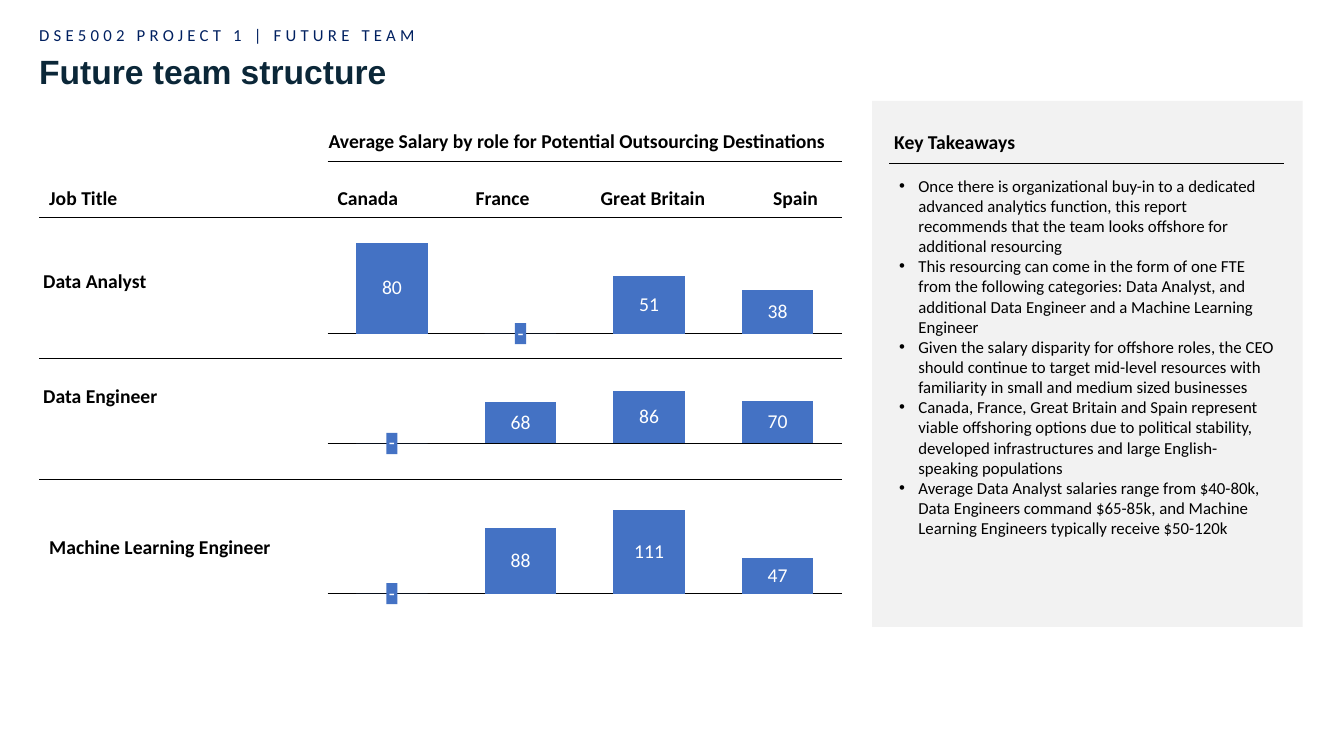
from lxml import etree
from pptx import Presentation
from pptx.chart.data import CategoryChartData
from pptx.dml.color import RGBColor
from pptx.enum.chart import XL_CHART_TYPE, XL_TICK_LABEL_POSITION, XL_TICK_MARK
from pptx.enum.shapes import MSO_CONNECTOR, MSO_SHAPE
from pptx.enum.text import MSO_ANCHOR, PP_ALIGN
from pptx.oxml import parse_xml
from pptx.oxml.ns import nsdecls, qn
from pptx.util import Inches, Pt

BLACK = RGBColor(0x00, 0x00, 0x00)
WHITE = RGBColor(0xFF, 0xFF, 0xFF)
NAVY = RGBColor(0x00, 0x20, 0x60)
INK = RGBColor(0x0B, 0x27, 0x38)
PANEL = RGBColor(0xF2, 0xF2, 0xF2)
BLUE = RGBColor(0x44, 0x72, 0xC4)

PAD = 0.09  # margin between a chart frame and its plot area
LABEL_H = 0.21

# Country, left and width of its heading relative to the table
COUNTRIES = [("Canada", 2.86, 0.93), ("France", 4.23, 0.8),
             ("Great Britain", 5.47, 1.28), ("Spain", 7.18, 0.7)]

# Role, left and top of its name, top and height of its chart, bar sizes, labels
ROLES = [
    ("Data Analyst", -0.06, 1.39, 1.09, 1.08, (100, 0, 63, 48), ("80", "-", "51", "38")),
    ("Data Engineer", -0.06, 2.53, 2.56, 0.7, (0, 79, 100, 82), ("-", "68", "86", "70")),
    ("Machine Learning Engineer", 0, 4.03, 3.74, 1.01, (0, 79, 100, 43), ("-", "88", "111", "47")),
]

TAKEAWAYS = [
    "Once there is organizational buy-in to a dedicated advanced analytics function, "
    "this report recommends that the team looks offshore for additional resourcing",
    "This resourcing can come in the form of one FTE from the following categories: "
    "Data Analyst, and additional Data Engineer and a Machine Learning Engineer",
    "Given the salary disparity for offshore roles, the CEO should continue to target "
    "mid-level resources with familiarity in small and medium sized businesses",
    "Canada, France, Great Britain and Spain represent viable offshoring options due to "
    "political stability, developed infrastructures and large English-speaking populations",
    "Average Data Analyst salaries range from $40-80k, Data Engineers command $65-85k, "
    "and Machine Learning Engineers typically receive $50-120k",
]


def add_run(p, text, size, color=BLACK, bold=False, font="Calibri"):
    r = p.add_run()
    r.text = text
    r.font.size, r.font.name = Pt(size), font
    r.font.bold, r.font.color.rgb = bold, color
    return r


def add_text(s, x, y, w, h):
    tf = s.shapes.add_textbox(Inches(x), Inches(y), Inches(w), Inches(h)).text_frame
    tf.word_wrap = True
    return tf


def add_heading(s, text, x, y, w):
    add_run(add_text(s, x, y, w, 0.34).paragraphs[0], text, 14, bold=True)


def add_rect(s, x, y, w, h, color):
    sp = s.shapes.add_shape(MSO_SHAPE.RECTANGLE, Inches(x), Inches(y), Inches(w), Inches(h))
    sp.shadow.inherit = False
    sp.fill.solid()
    sp.fill.fore_color.rgb = color
    sp.line.fill.background()
    return sp


def add_rule(s, x, y, w):
    line = s.shapes.add_connector(MSO_CONNECTOR.STRAIGHT, Inches(x), Inches(y),
                                  Inches(x + w), Inches(y))
    line.line.color.rgb = BLACK
    line.line.width = Pt(0.5)
    etree.SubElement(line._element.spPr, qn("a:effectLst"))


def add_header(s, x, y, w):
    tf = add_text(s, x, y, 7.02, 0.35)
    tf.vertical_anchor = MSO_ANCHOR.BOTTOM
    p = tf.paragraphs[0]
    p.line_spacing, p.space_before = 0.9, Pt(10)
    r = add_run(p, "DSE5002 PROJECT 1 | FUTURE TEAM", 12, NAVY)
    r.font._element.set("spc", "300")
    p = add_text(s, x, y + 0.35, w, 0.5).paragraphs[0]
    p.line_spacing = 0.9
    add_run(p, "Future team structure", 24, INK, True, "Arial")


def add_bar_label(s, text, cx, cy):
    # A missing salary is a dash on a blue tag
    w = 0.11 if text == "-" else 0.05 + 0.1 * len(text)
    x, y = cx - w / 2, cy - LABEL_H / 2
    if text == "-":
        tf = add_rect(s, x, y, w, LABEL_H, BLUE).text_frame
    else:
        tf = add_text(s, x, y, w, LABEL_H)
    tf.word_wrap = False
    tf.vertical_anchor = MSO_ANCHOR.MIDDLE
    # No side margins, so that the digits fit on one line
    tf.margin_left = tf.margin_right = tf.margin_top = tf.margin_bottom = 0
    p = tf.paragraphs[0]
    p.alignment, p.line_spacing = PP_ALIGN.CENTER, 0.9
    add_run(p, text, 14, WHITE)


def add_salary_chart(s, x, y, w, h, values, labels):
    data = CategoryChartData()
    data.categories = ["1", "2", "3", "4"]
    data.add_series("Series 1", values)
    chart = s.shapes.add_chart(XL_CHART_TYPE.COLUMN_STACKED, Inches(x), Inches(y),
                               Inches(w), Inches(h), data).chart
    chart.has_legend = chart.has_title = False
    chart.font.size, chart.font.name = Pt(10), "Calibri"
    chart.font.color.rgb = BLACK

    plot = chart.plots[0]
    plot.gap_width, plot.overlap, plot.vary_by_categories = 80, 100, False
    fill = plot.series[0].format.fill
    fill.solid()
    fill.fore_color.rgb = BLUE

    cat, val = chart.category_axis, chart.value_axis
    cat.tick_label_position = XL_TICK_LABEL_POSITION.NONE
    cat.major_tick_mark = cat.minor_tick_mark = XL_TICK_MARK.NONE
    cat.format.line.color.rgb = BLACK
    cat.format.line.width = Pt(0.75)
    val.minimum_scale, val.maximum_scale = 0, 100
    val.has_major_gridlines = val.visible = False

    # Fixed inner plot area
    plot_w, plot_h = w - 2 * PAD, h - 2 * PAD
    sizes = {"x": PAD / w, "y": PAD / h, "w": plot_w / w, "h": plot_h / h}
    parts = "".join(f'<c:{k} val="{v:.4f}"/>' for k, v in sizes.items())
    area = plot._element.getparent()
    for old in area.findall(qn("c:layout")):
        area.remove(old)
    area.insert(0, parse_xml(
        f'<c:layout {nsdecls("c")}><c:manualLayout><c:layoutTarget val="inner"/>'
        f'<c:xMode val="edge"/><c:yMode val="edge"/>{parts}</c:manualLayout></c:layout>'))

    # Labels at the middle of each bar
    step = plot_w / len(values)
    for i, (value, label) in enumerate(zip(values, labels)):
        add_bar_label(s, label, x + PAD + (i + 0.5) * step,
                      y + h - PAD - plot_h * value / 200)


def add_salary_table(s, x, y, w):
    # Headings
    add_heading(s, "Average Salary by role for Potential Outsourcing Destinations", x + 2.77, y, 5.22)
    add_rule(s, x + 2.86, y + 0.37, w - 2.86)
    add_heading(s, "Job Title", x, y + 0.57, 0.93)
    for country, dx, width in COUNTRIES:
        add_heading(s, country, x + dx, y + 0.57, width)
    # Row dividers
    for dy in (0.93, 2.33, 3.53):
        add_rule(s, x, y + dy, w)
    # One chart per role
    for role, dx, dy, chart_dy, chart_h, values, labels in ROLES:
        add_heading(s, role, x + dx, y + dy, 2.53)
        add_salary_chart(s, x + 2.77, y + chart_dy, 5.28, chart_h, values, labels)


def add_takeaways(s, x, y, w, h):
    add_rect(s, x, y, w, h, PANEL)
    add_heading(s, "Key Takeaways", x + 0.12, y + 0.24, 1.42)
    add_rule(s, x + 0.17, y + 0.62, w - 0.35)
    tf = add_text(s, x + 0.17, y + 0.69, w - 0.35, 4.14)
    for i, text in enumerate(TAKEAWAYS):
        p = tf.add_paragraph() if i else tf.paragraphs[0]
        pPr = p._p.get_or_add_pPr()
        pPr.set("marL", str(Inches(0.19)))
        pPr.set("indent", str(-Inches(0.19)))
        etree.SubElement(pPr, qn("a:buFont")).set("typeface", "Arial")
        etree.SubElement(pPr, qn("a:buChar")).set("char", "•")
        add_run(p, text, 12)


def main():
    prs = Presentation()
    prs.slide_width, prs.slide_height = Inches(13.33), Inches(7.5)
    s = prs.slides.add_slide(prs.slide_layouts[6])
    add_header(s, 0.29, 0.15, 12.73)
    add_takeaways(s, 8.65, 1, 4.27, 5.22)
    add_salary_table(s, 0.39, 1.23, 7.96)
    prs.save("out.pptx")


if __name__ == "__main__":
    main()
